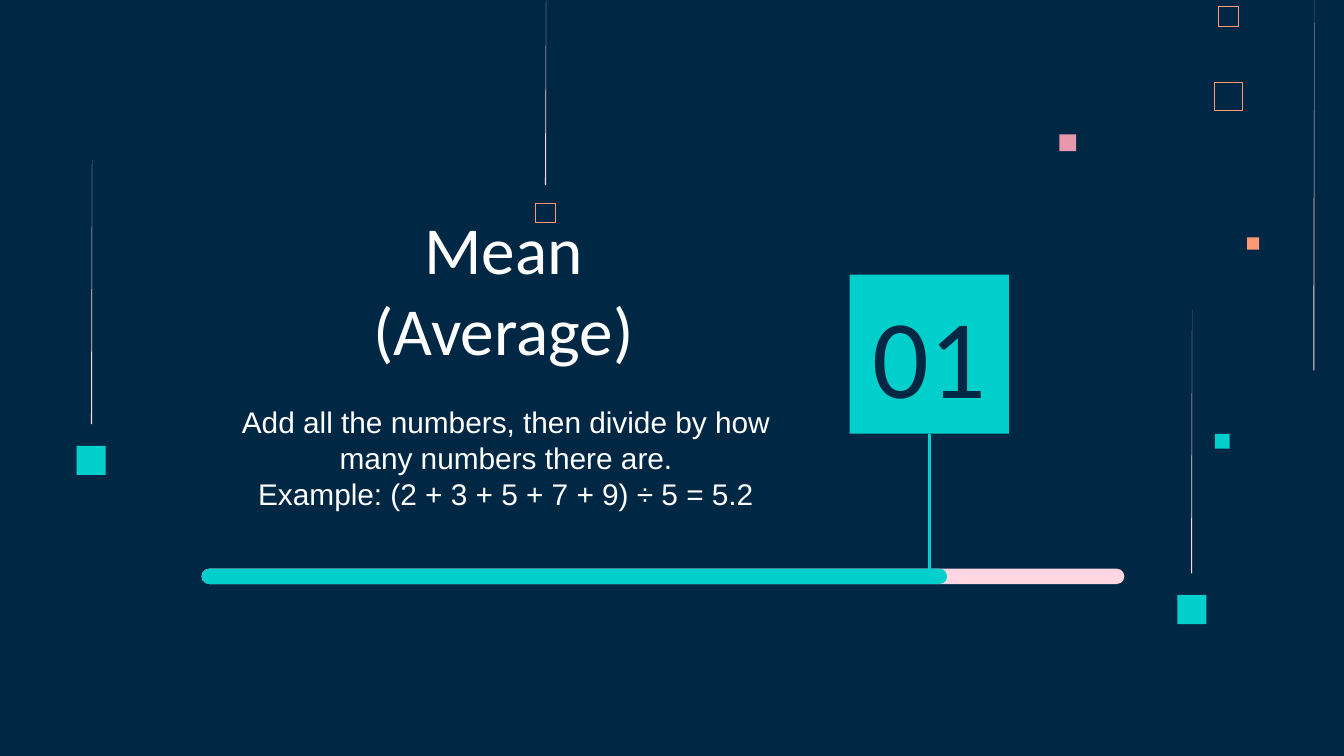
from dataclasses import dataclass

from lxml import etree
from pptx import Presentation
from pptx.dml.color import RGBColor
from pptx.enum.shapes import MSO_CONNECTOR, MSO_SHAPE
from pptx.enum.text import MSO_ANCHOR, MSO_AUTO_SIZE, PP_ALIGN
from pptx.oxml.ns import qn
from pptx.util import Cm, Pt

RECT = MSO_SHAPE.RECTANGLE
ROUND = MSO_SHAPE.ROUNDED_RECTANGLE
LINE = MSO_CONNECTOR.STRAIGHT
TOP, MIDDLE, BOTTOM = MSO_ANCHOR.TOP, MSO_ANCHOR.MIDDLE, MSO_ANCHOR.BOTTOM
FIXED = MSO_AUTO_SIZE.NONE
CENTER = PP_ALIGN.CENTER


@dataclass(frozen=True)
class Theme:
    navy: str = "002845"
    teal: str = "00CFCC"
    rose: str = "E898AC"
    blush: str = "FFD6E1"
    coral: str = "FF9973"
    white: str = "FFFFFF"
    head: str = "Calibri"
    body: str = "Arial"
    title: int = 36
    text: int = 16
    number: int = 60


THEME = Theme()
SOLID = [
    (20.02, 2.54, 0.32, THEME.rose),
    (22.96, 8.2, 0.28, THEME.teal),
    (23.57, 4.49, 0.23, THEME.coral),
    (22.25, 11.25, 0.55, THEME.teal),
    (1.45, 8.43, 0.55, THEME.teal),
]
HOLLOW = [
    (22.95, 1.55, 0.53, 0.45),
    (23.03, 0.12, 0.37, 0.32),
    (10.12, 3.84, 0.37, 0.32),
]
STREAKS = [
    (10.32, 0, 3.5),
    (24.84, 0, 7.0),
    (22.53, 5.86, 10.84),
    (1.74, 3.03, 8.02),
]


def rgb(color):
    """Turn a hex string into a colour."""
    return RGBColor.from_string(color)


def paint(shape, color):
    """Give a shape a plain fill without line or shadow."""
    shape.shadow.inherit = False
    shape.fill.solid()
    shape.fill.fore_color.rgb = rgb(color)
    shape.line.fill.background()


def block(slide, kind, box, color):
    """Add a filled shape."""
    shape = slide.shapes.add_shape(kind, *map(Cm, box))
    paint(shape, color)
    return shape


def frame(slide, left, top, size, width):
    """Add an outlined square."""
    shape = slide.shapes.add_shape(RECT, Cm(left), Cm(top), Cm(size), Cm(size))
    shape.shadow.inherit = False
    shape.fill.background()
    shape.line.color.rgb = rgb(THEME.coral)
    shape.line.width = Pt(width)


def streak(slide, right, top, base):
    """Add a hairline that tapers towards its top."""
    left = right - 0.02
    pen = slide.shapes.build_freeform(Cm(right), Cm(top))
    pen.add_line_segments([(Cm(left), Cm(base)), (Cm(right), Cm(base))])
    paint(pen.convert_to_shape(), THEME.blush)


def bar(slide, width, color):
    """Add one layer of the progress bar."""
    shape = block(slide, ROUND, (3.81, 10.75, width, 0.29), color)
    shape.adjustments[0] = 0.5


def stem(slide, left, top, base):
    """Add the line that ties the number to the bar."""
    line = slide.shapes.add_connector(LINE, Cm(left), Cm(top), Cm(left), Cm(base))
    line.line.color.rgb = rgb(THEME.teal)
    line.line.width = Pt(1.5)
    etree.SubElement(line.element.spPr, qn("a:effectLst"))


def write(shape, box, text, anchor, font, size, color):
    """Place a text shape and format its centred text."""
    shape.left, shape.top, shape.width, shape.height = map(Cm, box)
    body = shape.text_frame
    body.text = text
    body.word_wrap = True
    body.auto_size = FIXED
    body.vertical_anchor = anchor
    body.margin_left = body.margin_right = Cm(0.25)
    body.margin_top = body.margin_bottom = Cm(0.25)
    for para in body.paragraphs:
        para.alignment = CENTER
        for run in para.runs:
            run.font.name = font
            run.font.size = Pt(size)
            run.font.color.rgb = rgb(color)


def label(slide, box, *style):
    """Add a text box."""
    write(slide.shapes.add_textbox(*map(Cm, box)), box, *style)


def main():
    """Build the slide and save it."""
    deck = Presentation()
    deck.slide_width, deck.slide_height = Cm(25.4), Cm(14.29)
    slide = deck.slides.add_slide(deck.slide_layouts[5])
    slide.background.fill.solid()
    slide.background.fill.fore_color.rgb = rgb(THEME.navy)

    for left, top, size, color in SOLID:
        block(slide, RECT, (left, top, size, size), color)
    for square in HOLLOW:
        frame(slide, *square)
    for hair in STREAKS:
        streak(slide, *hair)

    write(slide.shapes.title, (5.87, 4.88, 7.29, 2.34), "Mean (Average)",
          BOTTOM, THEME.head, THEME.title, THEME.white)
    label(slide, (3.66, 7.39, 11.81, 2.92),
          "Add all the numbers, then divide by how many numbers there are.\n"
          "Example: (2 + 3 + 5 + 7 + 9) ÷ 5 = 5.2",
          TOP, THEME.body, THEME.text, THEME.white)
    block(slide, RECT, (16.06, 5.19, 3.01, 3.01), THEME.teal)
    label(slide, (16.21, 5.89, 2.72, 1.6), "01",
          MIDDLE, THEME.head, THEME.number, THEME.navy)
    bar(slide, 17.44, THEME.blush)
    bar(slide, 14.09, THEME.teal)
    stem(slide, 17.57, 8.2, 10.91)
    deck.save("out.pptx")


if __name__ == "__main__":
    main()
